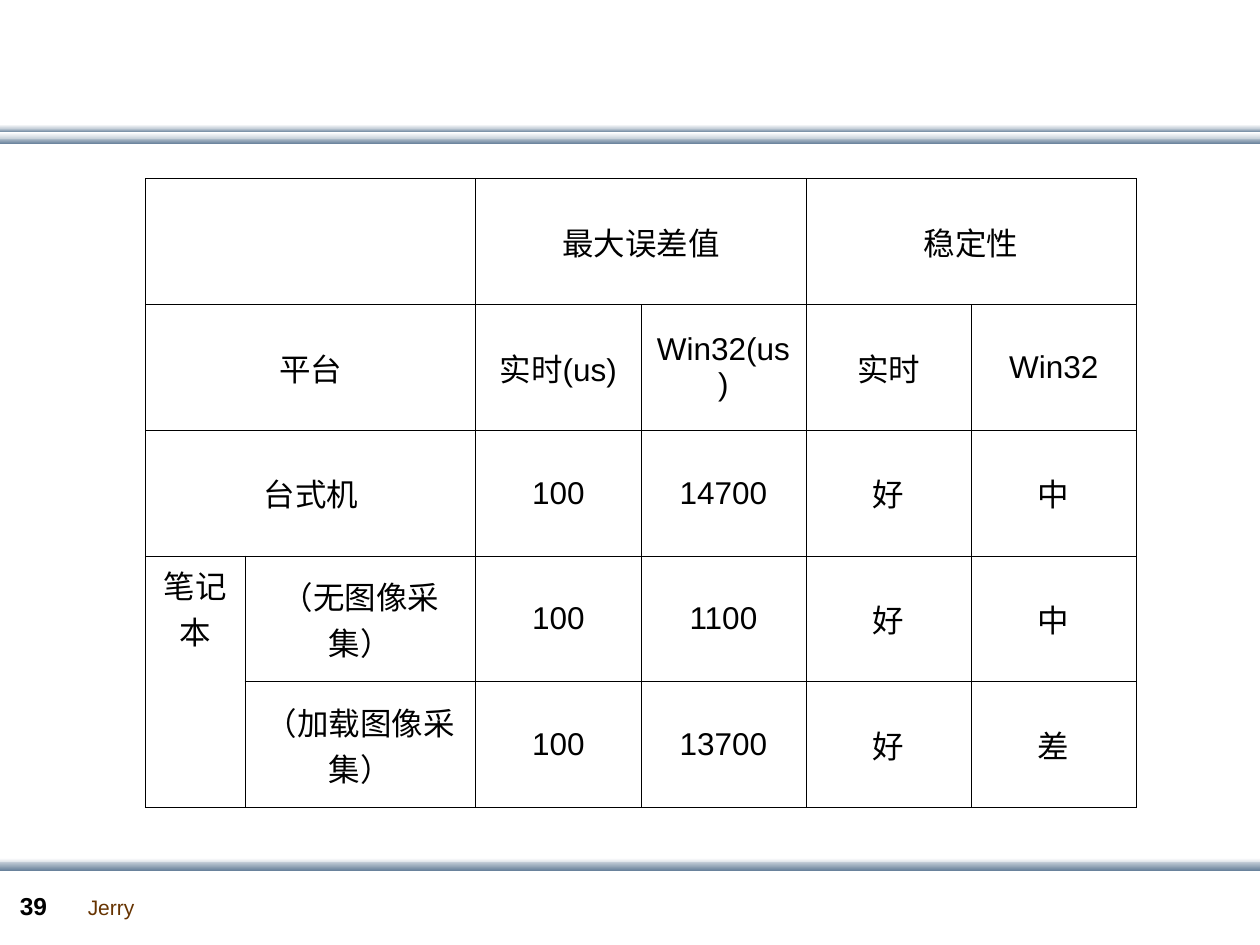
from dataclasses import dataclass

from lxml import etree
from pptx import Presentation
from pptx.dml.color import RGBColor
from pptx.enum import shapes, text
from pptx.oxml import ns
from pptx.util import Cm, Pt


@dataclass(frozen=True)
class Theme:
    font: str = "Arial"
    ink: str = "000000"
    paper: str = "FFFFFF"
    mist: str = "C8D1DA"
    steel: str = "6A839C"
    author: str = "663300"
    table_size: int = 18
    number_size: int = 14
    author_size: int = 12
    border: float = 0.45


THEME = Theme()
PAGE_W, PAGE_H = 25.4, 19.05
LIGHT = (THEME.paper, THEME.mist)
DARK = (THEME.mist, THEME.steel)

# None marks a cell covered by the one to its left or above it
ROWS = [
    ["", None, "最大误差值", None, "稳定性", None],
    ["平台", None, "实时(us)", "Win32(us)", "实时", "Win32"],
    ["台式机", None, "100", "14700", "好", "中"],
    ["笔记本", "（无图像采集）", "100", "1100", "好", "中"],
    [None, "（加载图像采集）", "100", "13700", "好", "差"],
]
MERGES = [((0, 0), (0, 1)), ((0, 2), (0, 3)), ((0, 4), (0, 5)),
          ((1, 0), (1, 1)), ((2, 0), (2, 1)), ((3, 0), (4, 0))]


def add_run(p, words, size, color, bold=False):
    r = p.add_run()
    r.text = words
    r.font.name = THEME.font
    r.font.size = Pt(size)
    r.font.bold = bold
    r.font.color.rgb = RGBColor.from_string(color)


def add_bands(s, left, top, width, bands):
    """Stack gradient strips; each band is (offset, height, colours)."""
    for offset, height, colors in bands:
        sp = s.shapes.add_shape(shapes.MSO_SHAPE.RECTANGLE, Cm(left),
                                Cm(top + offset), Cm(width), Cm(height))
        sp.shadow.inherit = False
        sp.line.fill.background()
        sp.fill.gradient()
        sp.fill.gradient_angle = 270
        for stop, color in zip(sp.fill.gradient_stops, colors):
            stop.color.rgb = RGBColor.from_string(color)


def add_label(s, left, top, width, height, words, size, color, bold=False, wrap=True):
    tf = s.shapes.add_textbox(Cm(left), Cm(top), Cm(width), Cm(height)).text_frame
    tf.word_wrap = wrap
    add_run(tf.paragraphs[0], words, size, color, bold)


def add_footer(s, left, top, width):
    add_bands(s, left, top, width, [(0, 0.13, LIGHT), (0.07, 0.18, DARK)])
    add_label(s, left + 1.52, top + 0.61, 1.45, 0.76, "Jerry",
              THEME.author_size, THEME.author, wrap=False)
    add_label(s, left + 0.15, top + 0.53, 1.4, 0.86, "39",
              THEME.number_size, THEME.ink, bold=True)


def set_borders(cell):
    tc_pr = cell._tc.get_or_add_tcPr()
    for side in ("lnL", "lnR", "lnT", "lnB"):
        ln = etree.SubElement(tc_pr, ns.qn(f"a:{side}"), w=str(Pt(THEME.border)))
        fill = etree.SubElement(ln, ns.qn("a:solidFill"))
        etree.SubElement(fill, ns.qn("a:srgbClr"), val=THEME.ink)


def add_results_table(s, left, top, width, height):
    stub_widths = [2, 4.65]
    value_width = (width - sum(stub_widths)) / 4
    table = s.shapes.add_table(len(ROWS), len(ROWS[0]), Cm(left), Cm(top),
                               Cm(width), Cm(height)).table
    table.first_row = table.horz_banding = False
    for column, column_width in zip(table.columns, stub_widths + [value_width] * 4):
        column.width = Cm(column_width)
    for row in table.rows:
        row.height = Cm(height / len(ROWS))
    for start, end in MERGES:
        table.cell(*start).merge(table.cell(*end))

    for i, row in enumerate(ROWS):
        for j, words in enumerate(row):
            cell = table.cell(i, j)
            set_borders(cell)
            cell.fill.solid()
            cell.fill.fore_color.rgb = RGBColor.from_string(THEME.paper)
            if not words:
                continue
            tall = cell.is_merge_origin and cell.span_height > 1
            cell.vertical_anchor = text.MSO_ANCHOR.TOP if tall else text.MSO_ANCHOR.MIDDLE
            p = cell.text_frame.paragraphs[0]
            p.alignment = text.PP_ALIGN.CENTER
            add_run(p, words, THEME.table_size, THEME.ink)


def main():
    prs = Presentation()
    prs.slide_width, prs.slide_height = Cm(PAGE_W), Cm(PAGE_H)
    s = prs.slides.add_slide(prs.slide_layouts[6])
    add_bands(s, 0, 2.51, PAGE_W, [(0.26, 0.13, DARK), (0.08, 0.08, DARK),
                                   (0.16, 0.13, LIGHT), (0, 0.08, LIGHT)])
    add_footer(s, 0, 17.3, PAGE_W)
    add_results_table(s, 2.94, 3.6, 19.97, 12.68)
    prs.save("out.pptx")


if __name__ == "__main__":
    main()
